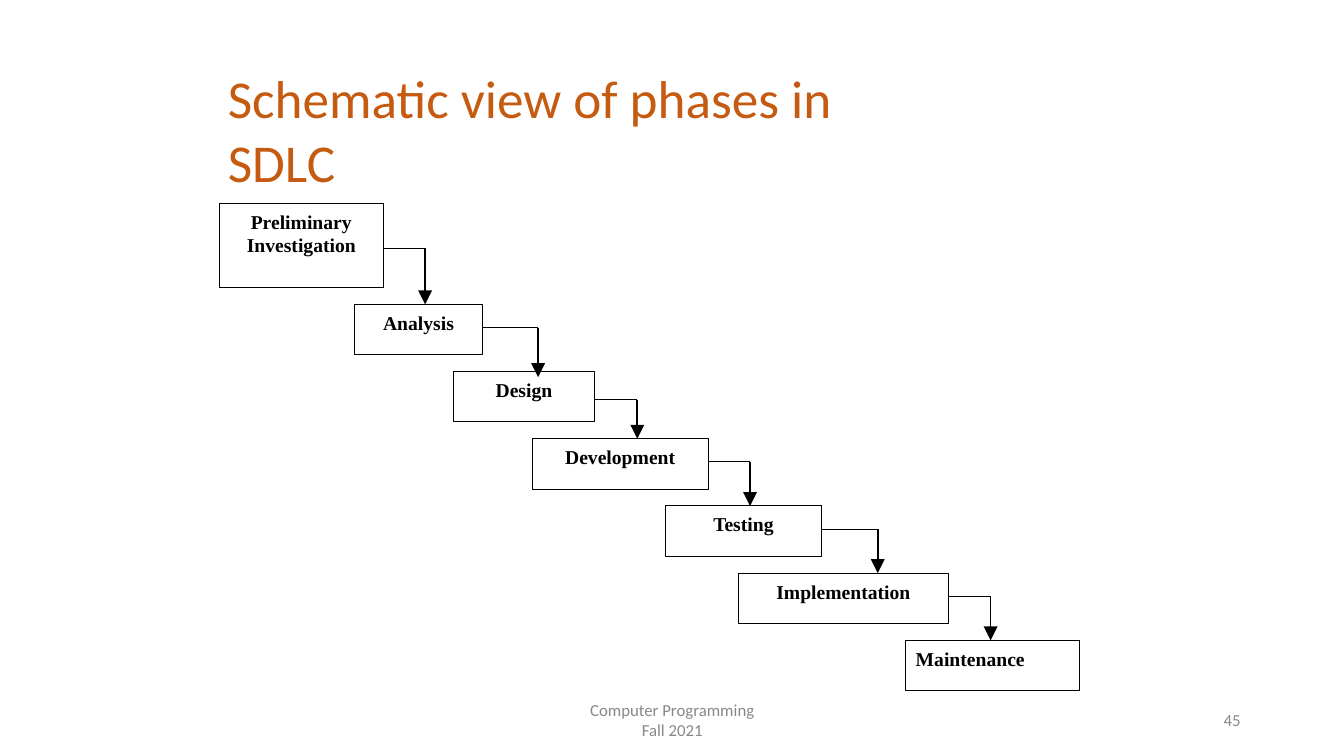
from lxml.etree import SubElement
from pptx import Presentation
from pptx.dml.color import RGBColor
from pptx.enum.shapes import MSO_CONNECTOR as CONN, MSO_SHAPE as SHAPE
from pptx.enum.text import MSO_ANCHOR as ANCHOR, PP_ALIGN as ALIGN
from pptx.oxml.ns import qn
from pptx.util import Pt

TITLE = "Schematic view of phases in\vSDLC"
FOOTER = ["Computer Programming", "Fall 2021"]
NUMBER = ["45"]

PHASES = [
    ("Preliminary Investigation", 156.5, 117.5),
    ("Analysis", 253.5, 91),
    ("Design", 323.8, 101),
    ("Development", 380.3, 125.5),
    ("Testing", 475.3, 111.5),
    ("Implementation", 527.5, 150),
    ("Maintenance", 647, 124.2),
]
ARROWS = [
    (303.7, 177.2, 0),
    (384.4, 234, 4),
    (455.2, 285.4, 0),
    (535.8, 329.9, 0),
    (627, 378.2, 0),
    (707.6, 426.2, 0),
]

FIRST_TOP, FIRST_HEIGHT = 145.4, 60
STEP_TOP, STEP, STEP_HEIGHT = 217.4, 48, 36

TITLE_FONT = {"size": Pt(38), "name": "Calibri", "bold": False}
PHASE_FONT = {"size": Pt(14), "name": "Times New Roman", "bold": True}
FOOTER_FONT = {"size": Pt(12), "name": "Calibri", "bold": False}


def paint(color_format, value):
    color_format.rgb = RGBColor.from_string(value)


def put_text(sp, lines, font, color, align, left=0, top=0):
    tf = sp.text_frame
    frame = {"word_wrap": True, "vertical_anchor": ANCHOR.TOP,
             "margin_left": Pt(left), "margin_top": Pt(top),
             "margin_right": 0, "margin_bottom": 0}
    for name, value in frame.items():
        setattr(tf, name, value)
    tf.text = "\n".join(lines)
    for p in tf.paragraphs:
        p.alignment = align
        for r in p.runs:
            for name, value in font.items():
                setattr(r.font, name, value)
            paint(r.font.color, color)
    return tf


def put_line(s, x1, y1, x2, y2, width, head=False):
    cn = s.shapes.add_connector(CONN.STRAIGHT, Pt(x1), Pt(y1), Pt(x2), Pt(y2))
    cn.line.width = Pt(width)
    paint(cn.line.color, "000000")
    if head:
        SubElement(cn.line._get_or_add_ln(), qn("a:tailEnd"),
                   type="triangle", w="lg", len="lg")
    SubElement(cn._element.spPr, qn("a:effectLst"))


def put_footer(s, lines, x, y, w, h, align, left=0):
    sp = s.shapes.add_textbox(Pt(x), Pt(y), Pt(w), Pt(h))
    tf = put_text(sp, lines, FOOTER_FONT, "888888", align, left)
    tf.paragraphs[0].line_spacing = Pt(12.4)


def phase_top(i):
    return STEP_TOP + (i - 1) * STEP if i else FIRST_TOP


def main():
    prs = Presentation()
    prs.slide_width, prs.slide_height = Pt(960), Pt(540)
    s = prs.slides.add_slide(prs.slide_layouts[5])

    title = s.shapes.title
    place = {"left": 162, "top": 44.6, "width": 512.6, "height": 47.5}
    for name, value in place.items():
        setattr(title, name, Pt(value))
    tf = put_text(title, [TITLE], TITLE_FONT, "C55A11", ALIGN.LEFT, 0.7, 2)
    tf.paragraphs[0].line_spacing = 1.0

    for i, (label, x, w) in enumerate(PHASES):
        last = i == len(PHASES) - 1
        h = STEP_HEIGHT if i else FIRST_HEIGHT
        sp = s.shapes.add_shape(SHAPE.RECTANGLE, Pt(x), Pt(phase_top(i)), Pt(w), Pt(h))
        sp.shadow.inherit = False
        sp.fill.background()
        sp.line.width = Pt(0.72)
        paint(sp.line.color, "000000")
        align = ALIGN.LEFT if last else ALIGN.CENTER
        put_text(sp, [label], PHASE_FONT, "000000", align, 7.2 if last else 0, 4.5)

    for i, (x, y, overlap) in enumerate(ARROWS):
        _, left, w = PHASES[i]
        put_line(s, left + w, y, x, y, 0.72)
        put_line(s, x, y, x, phase_top(i + 1) + overlap, 1.2, head=True)

    put_footer(s, FOOTER, 420.5, 501.8, 119.5, 28.8, ALIGN.CENTER)
    put_footer(s, NUMBER, 871.2, 509, 18, 14.4, ALIGN.LEFT, 2.9)
    prs.save("out.pptx")


if __name__ == "__main__":
    main()
